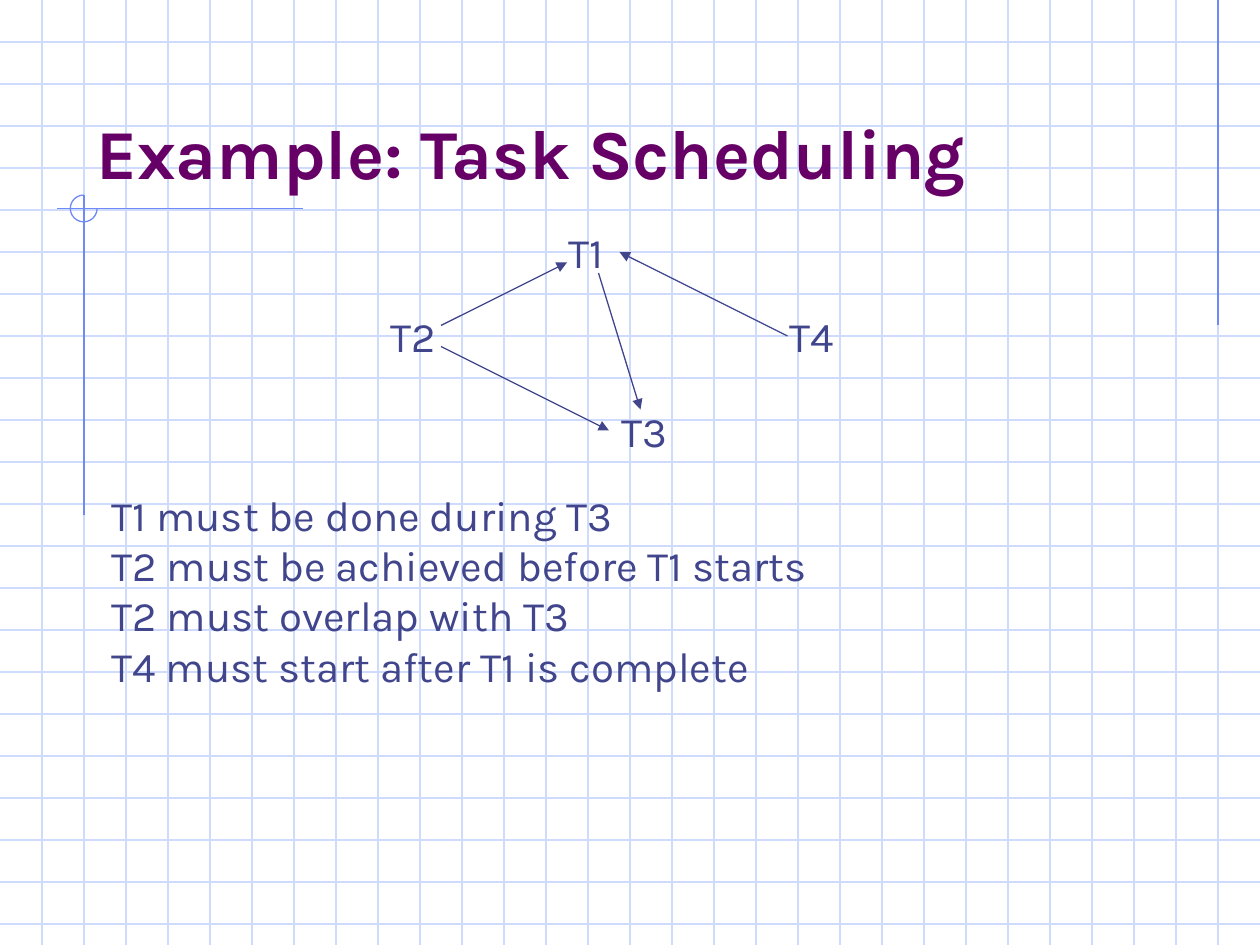
from pptx import Presentation
from pptx.dml.color import RGBColor
from pptx.enum.shapes import MSO_CONNECTOR, MSO_SHAPE
from pptx.enum.text import MSO_ANCHOR, MSO_AUTO_SIZE
from pptx.oxml.ns import qn
from pptx.util import Pt
from lxml.etree import SubElement

WHITE = RGBColor(0xFF, 0xFF, 0xFF)
GRID = RGBColor(0xCF, 0xDB, 0xFD)
ACCENT = RGBColor(0x6F, 0x89, 0xF7)
PURPLE = RGBColor(0x66, 0x00, 0x66)
NAVY = RGBColor(0x40, 0x45, 0x8C)
WIDTH, HEIGHT, STEP = 720, 540, 24

prs = Presentation()
prs.slide_width, prs.slide_height = Pt(WIDTH), Pt(HEIGHT)
s = prs.slides.add_slide(prs.slide_layouts[6])
s.background.fill.solid()
s.background.fill.fore_color.rgb = WHITE


def add_line(x1, y1, x2, y2, color, arrow=False):
    line = s.shapes.add_connector(MSO_CONNECTOR.STRAIGHT, Pt(x1), Pt(y1), Pt(x2), Pt(y2))
    line.line.color.rgb = color
    line.line.width = Pt(0.75)
    if arrow:
        SubElement(line.line._get_or_add_ln(), qn("a:tailEnd"), type="triangle")
    SubElement(line._element.spPr, qn("a:effectLst"))


def add_text(text, x, y, w, h, size=24, color=NAVY, bold=False, wrap=False,
             anchor=MSO_ANCHOR.TOP, fit=MSO_AUTO_SIZE.SHAPE_TO_FIT_TEXT):
    """Add a text box with one paragraph for each line of text."""
    tf = s.shapes.add_textbox(Pt(x), Pt(y), Pt(w), Pt(h)).text_frame
    tf.word_wrap, tf.auto_size, tf.vertical_anchor = wrap, fit, anchor
    tf.text = text
    for p in tf.paragraphs:
        p.font.name, p.font.size, p.font.bold = "Karla", Pt(size), bold
        p.font.color.rgb = color


# Graph paper
for y in range(STEP, HEIGHT, STEP):
    add_line(0, y, WIDTH, y, GRID)
for x in range(STEP, WIDTH, STEP):
    add_line(x, 0, x, HEIGHT, GRID)

# Accent lines and the three-quarter circle where two of them cross
add_line(696, 0, 696, 185.75, ACCENT)
add_line(173, 119.25, 32.5, 119.25, ACCENT)
add_line(48, 111.5, 48, 294.5, ACCENT)
arc = s.shapes.add_shape(MSO_SHAPE.ARC, Pt(40.2), Pt(111.5), Pt(15.3), Pt(15.3))
arc.adjustments[0], arc.adjustments[1] = 0, 162  # 0 to 270 degrees
arc.shadow.inherit = False
arc.fill.background()
arc.line.color.rgb = ACCENT
arc.line.width = Pt(0.75)

add_text("Example: Task Scheduling", 48, 24, 612, 90, size=40, color=PURPLE, bold=True,
         wrap=True, anchor=MSO_ANCHOR.BOTTOM, fit=MSO_AUTO_SIZE.NONE)

constraints = [
    "T1 must be done during T3",
    "T2 must be achieved before T1 starts",
    "T2 must overlap with T3",
    "T4 must start after T1 is complete",
]
add_text("\n".join(constraints), 56.6, 276, 430, 122.4)

# Task graph
tasks = [("T1", 318, 126), ("T2", 216, 174), ("T3", 348.2, 228), ("T4", 444, 174)]
for task, x, y in tasks:
    add_text(task, x, y, 41, 36)

arrows = [
    (342, 156, 366, 234),  # T1 to T3
    (252, 186, 324, 150),  # T2 to T1
    (252, 198, 348, 246),  # T2 to T3
    (450, 192, 354, 144),  # T4 to T1
]
for ends in arrows:
    add_line(*ends, NAVY, arrow=True)

prs.save("out.pptx")
